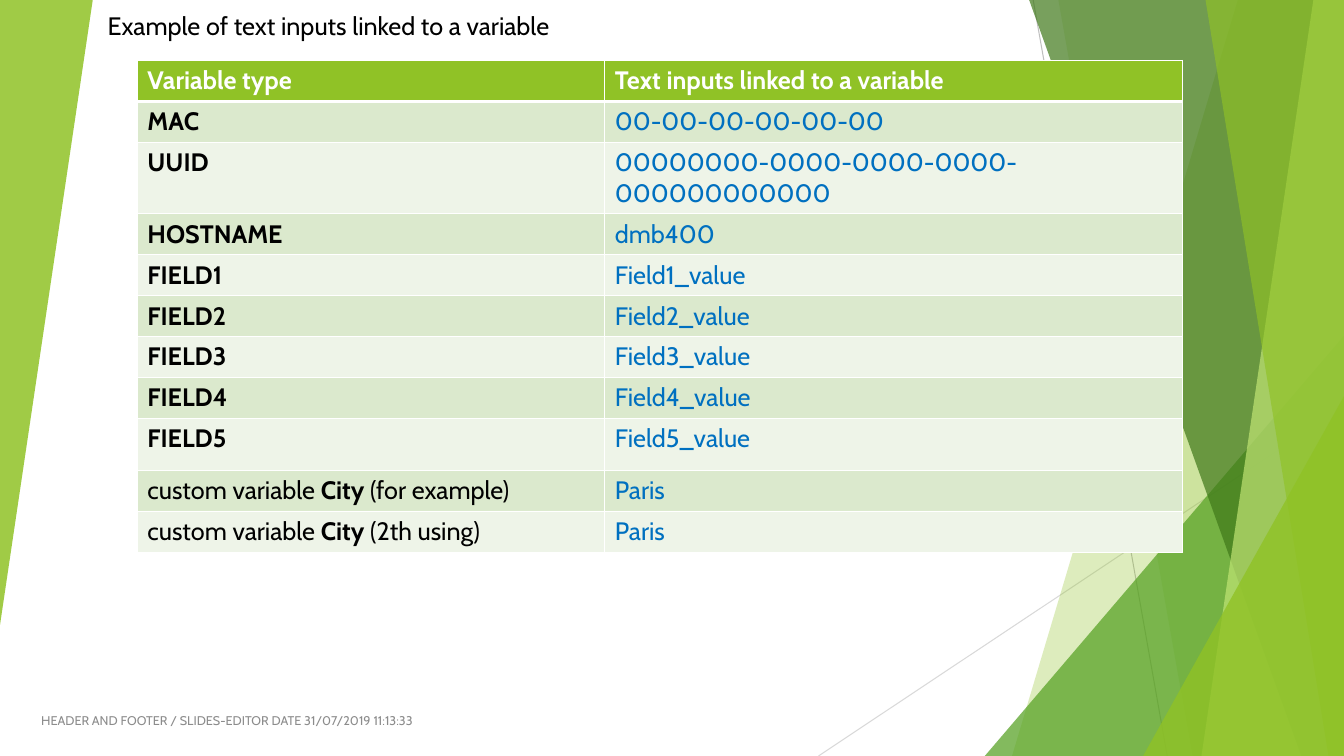
from lxml import etree
from pptx import Presentation
from pptx import util as u
from pptx.dml.color import RGBColor
from pptx.enum import shapes, text
from pptx.oxml import ns

WIDTH, HEIGHT = 960, 540
FONT = "Cabin"
COLORS = {
    "lime": "90C226", "green": "54A021", "forest": "3F7819", "pale": "C0E474",
    "grey line": "BFBFBF", "light line": "D9D9D9", "white": "FFFFFF",
    "black": "000000", "blue": "0070C0", "footer": "8C8C8C",
    "odd row": "DBE9CD", "even row": "EEF4E8",
}

# (start, end, colour)
RAYS = [((738, 0), (833.76, HEIGHT), "grey line"),
        ((WIDTH, 290.16), (584.64, HEIGHT), "light line")]
# Bands reach the right edge: ("band", left x at top, left x at bottom, colour, opacity %)
# Wedges are right triangles: ("wedge", (left, top, width, height), rotation, colour, opacity %)
FACETS = [
    ("band", 884.16, 722.88, "lime", 30),
    ("band", 756, 851.76, "lime", 20),
    ("wedge", (703.44, 239.76, 256.56, 300.24), 0, "green", 72),
    ("band", 735.12, 929.52, "forest", 70),
    ("band", 938.16, 858.24, "pale", 70),
    ("band", 861.12, 948.96, "lime", 65),
    ("wedge", (816.48, 282.96, 143.52, 257.04), 0, "lime", 80),
    ("wedge", (0, 0, 66.24, 446.4), 180, "lime", 85),
]

TITLE = "Example of text inputs linked to a variable"
FOOTER = "HEADER AND FOOTER / SLIDES-EDITOR DATE 31/07/2019 11:13:33"
HEADINGS = ["Variable type", "Text inputs linked to a variable"]
# Name as (text, bold) pieces, then its value
VARIABLES = [
    ([("MAC", True)], "00-00-00-00-00-00"),
    ([("UUID", True)], "00000000-0000-0000-0000-000000000000"),
    ([("HOSTNAME", True)], "dmb400"),
    *[([(f"FIELD{n}", True)], f"Field{n}_value") for n in range(1, 6)],
    *[([("custom variable ", False), ("City ", True), (note, False)], "Paris")
      for note in ("(for example)", "(2th using)")],
]
TABLE_LEFT, TABLE_TOP = 98.1, 43.2
COLUMN_WIDTHS = [333.9, 412.6]
ROW_HEIGHT = 29.2
TALL_ROWS = {2: 51, 8: 37.4}


def rgb(name):
    return RGBColor.from_string(COLORS[name])


def write(paragraph, pieces, color, size=18):
    for words, bold in pieces:
        run = paragraph.add_run()
        run.text = words
        for key, value in {"name": FONT, "size": u.Pt(size), "bold": bold}.items():
            setattr(run.font, key, value)
        run.font.color.rgb = rgb(color)


def add_ray(slide, start, end, color):
    ray = slide.shapes.add_connector(
        shapes.MSO_CONNECTOR.STRAIGHT, *[u.Pt(v) for v in (*start, *end)])
    ray.line.color.rgb = rgb(color)
    ray.line.width = u.Pt(0.75)
    etree.SubElement(ray.line._get_or_add_ln().getparent(), ns.qn("a:effectLst"))


def add_band(slide, top_x, bottom_x):
    outline = slide.shapes.build_freeform(u.Pt(top_x), 0, scale=1.0)
    corners = [(WIDTH, 0), (WIDTH, HEIGHT), (bottom_x, HEIGHT)]
    outline.add_line_segments([(u.Pt(x), u.Pt(y)) for x, y in corners], close=True)
    return outline.convert_to_shape()


def add_wedge(slide, box, rotation):
    wedge = slide.shapes.add_shape(
        shapes.MSO_SHAPE.ISOSCELES_TRIANGLE, *[u.Pt(v) for v in box])
    wedge.adjustments[0] = 1.0
    wedge.rotation = rotation
    return wedge


def add_facet(slide, kind, first, second, color, opacity):
    facet = {"band": add_band, "wedge": add_wedge}[kind](slide, first, second)
    facet.shadow.inherit = False
    facet.line.fill.background()
    facet.fill.solid()
    facet.fill.fore_color.rgb = rgb(color)
    tint = facet._element.spPr.find(".//" + ns.qn("a:srgbClr"))
    etree.SubElement(tint, ns.qn("a:alpha"), val=str(opacity * 1000))


def add_label(slide, box, words, color, size, frame_format, align):
    frame = slide.shapes.add_textbox(*[u.Pt(v) for v in box]).text_frame
    for key, value in frame_format.items():
        setattr(frame, key, value)
    frame.paragraphs[0].alignment = align
    write(frame.paragraphs[0], [(words, False)], color, size)


def style_cell(cell, color, top, bottom):
    """Fill the cell and draw white borders, which must precede the fill in the XML."""
    cell.fill.solid()
    cell.fill.fore_color.rgb = rgb(color)
    props = cell._tc.get_or_add_tcPr()
    for i, (side, width) in enumerate({"L": 1, "R": 1, "T": top, "B": bottom}.items()):
        border = etree.Element(ns.qn(f"a:ln{side}"), w=str(u.Pt(width)))
        paint = etree.SubElement(border, ns.qn("a:solidFill"))
        etree.SubElement(paint, ns.qn("a:srgbClr"), val=COLORS["white"])
        props.insert(i, border)


def add_variables(slide):
    rows = [[([(heading, True)], "white") for heading in HEADINGS]]
    rows += [[(name, "black"), ([(value, False)], "blue")] for name, value in VARIABLES]
    heights = [TALL_ROWS.get(r, ROW_HEIGHT) for r in range(len(rows))]
    box = (TABLE_LEFT, TABLE_TOP, sum(COLUMN_WIDTHS), sum(heights))
    table = slide.shapes.add_table(
        len(rows), len(HEADINGS), *[u.Pt(v) for v in box]).table
    for column, width in zip(table.columns, COLUMN_WIDTHS):
        column.width = u.Pt(width)
    for r, (row, height) in enumerate(zip(rows, heights)):
        table.rows[r].height = u.Pt(height)
        color = "lime" if r == 0 else "odd row" if r % 2 else "even row"
        for c, (pieces, ink) in enumerate(row):
            cell = table.cell(r, c)
            style_cell(cell, color, 3 if r == 1 else 1, 3 if r == 0 else 1)
            write(cell.text_frame.paragraphs[0], pieces, ink)


def main():
    deck = Presentation()
    deck.slide_width, deck.slide_height = u.Pt(WIDTH), u.Pt(HEIGHT)
    slide = deck.slides.add_slide(deck.slide_layouts[6])
    for ray in RAYS:
        add_ray(slide, *ray)
    for facet in FACETS:
        add_facet(slide, *facet)
    add_variables(slide)
    add_label(slide, (7.92, 500.4, 293.76, 28.8), FOOTER, "footer", 9,
              {"word_wrap": True, "vertical_anchor": text.MSO_ANCHOR.MIDDLE},
              text.PP_ALIGN.RIGHT)
    add_label(slide, (69.84, 3.6, 362.88, 28.8), TITLE, "black", 18,
              {"word_wrap": False, "auto_size": text.MSO_AUTO_SIZE.SHAPE_TO_FIT_TEXT},
              text.PP_ALIGN.LEFT)
    deck.save("out.pptx")


if __name__ == "__main__":
    main()
